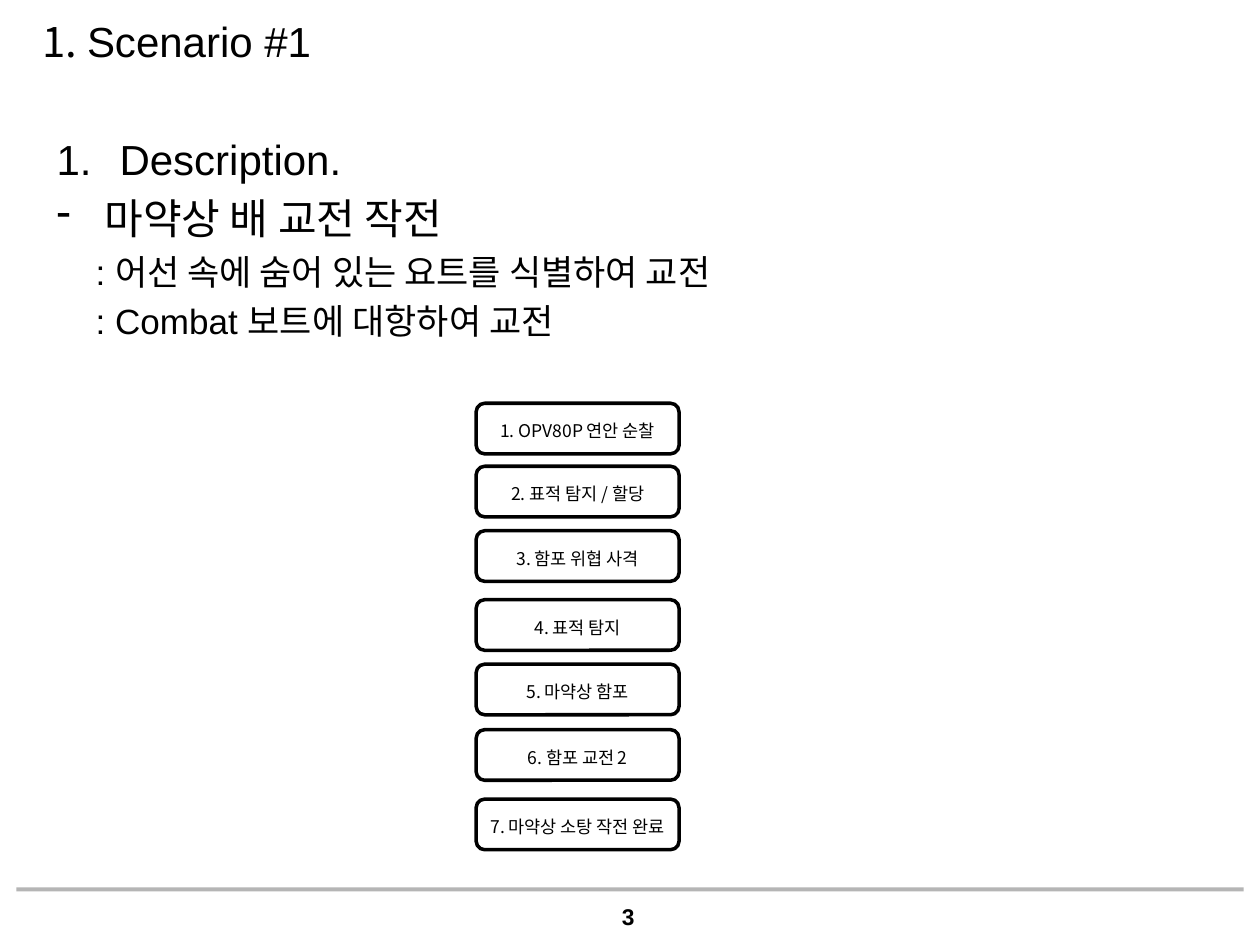
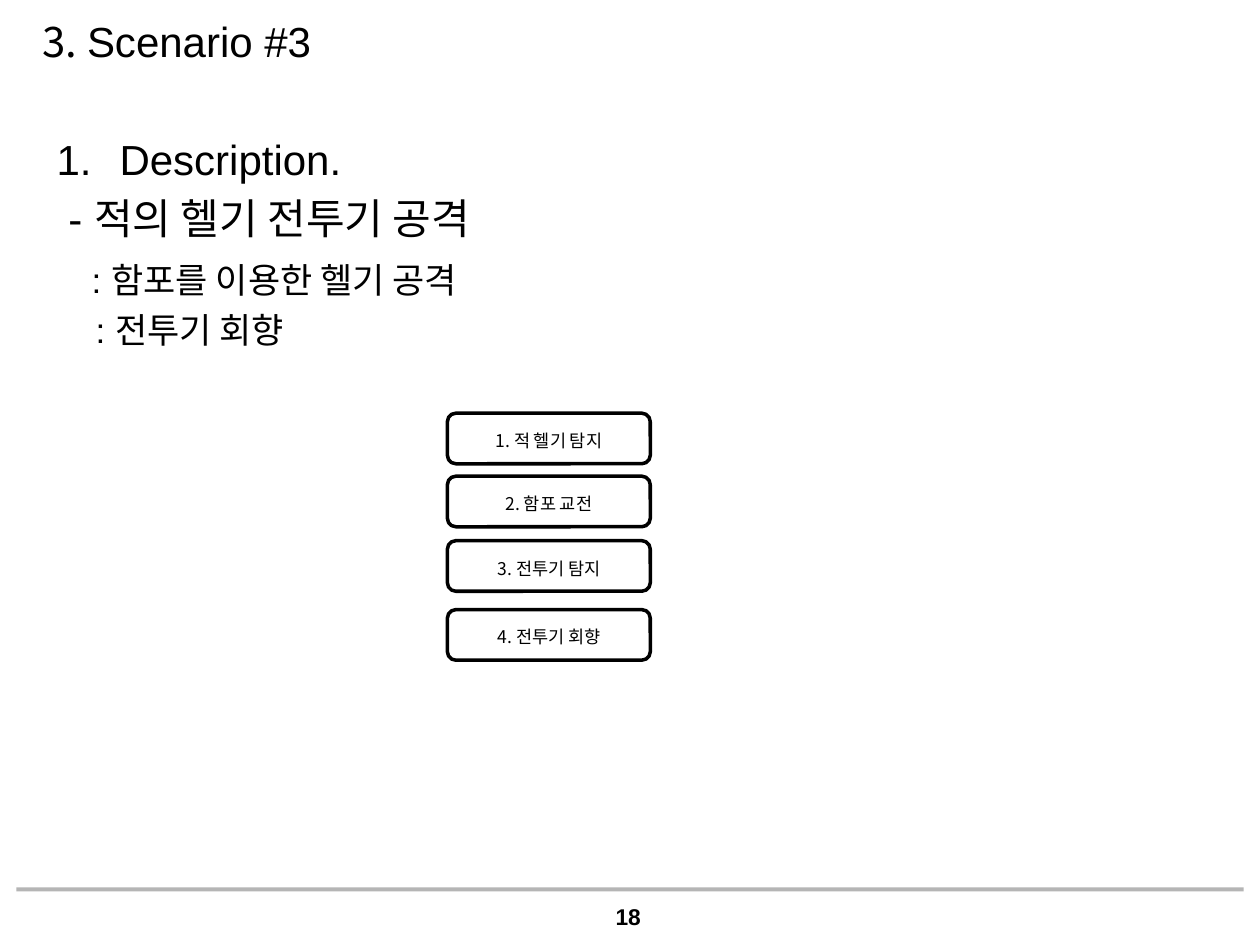
from dataclasses import dataclass

import lxml.etree
import pptx
import pptx.dml.color
import pptx.enum.shapes
import pptx.enum.text
import pptx.oxml.ns
import pptx.util

Cm = pptx.util.Cm
Pt = pptx.util.Pt
qn = pptx.oxml.ns.qn
PP_ALIGN = pptx.enum.text.PP_ALIGN
ANCHOR = pptx.enum.text.MSO_ANCHOR

COLORS = {"text": "000000", "rule": "969696", "background": "FFFFFF"}
LATIN, KOREAN = "Arial", "Noto Sans CJK KR"

# Tops of the steps below the first one, in cm
STEP_OFFSETS = (0, 1.27, 2.57, 3.96, 5.26, 6.58, 7.98)


@dataclass(frozen=True)
class Line:
    """One paragraph of the description; lengths in cm, sizes in points."""
    text: str
    size: int = 20
    left: float = 0.79
    hanging: float = 0
    bullet: str = ""
    before: float = 3


@dataclass(frozen=True)
class Scenario:
    number: int
    page: int
    description: tuple[Line, ...]
    steps_left: float
    steps_top: float
    steps: tuple[str, ...]


HEADING = Line("Description.", 24, 1.27, 1.27, "1.", 0)

SCENARIOS = (
    Scenario(
        1, 3,
        (HEADING,
         Line("마약상 배 교전 작전", 24, 0.97, 0.97, "-", 3.6),
         Line(": 어선 속에 숨어 있는 요트를 식별하여 교전"),
         Line(": Combat 보트에 대항하여 교전")),
        9.6, 8.13,
        ("OPV80P 연안 순찰", "표적 탐지 / 할당", "함포 위협 사격", "표적 탐지",
         "마약상 함포", "함포 교전 2", "마약상 소탕 작전 완료"),
    ),
    Scenario(
        3, 18,
        (HEADING,
         Line("- 적의 헬기 전투기 공격", 24, 0.24, before=3.6),
         Line(": 함포를 이용한 헬기 공격", left=0.71, before=8),
         Line(": 전투기 회향")),
        9.02, 8.33,
        ("적 헬기 탐지", "함포 교전", "전투기 탐지", "전투기 회향"),
    ),
)


def rgb(name: str) -> pptx.dml.color.RGBColor:
    return pptx.dml.color.RGBColor.from_string(COLORS[name])


def style_font(font, size: float, name: str = LATIN, bold: bool = False) -> None:
    font.size, font.name, font.bold = Pt(size), name, bold
    font.color.rgb = rgb("text")
    latin = font._element.find(qn("a:latin"))
    east_asian = lxml.etree.Element(qn("a:ea"), typeface=KOREAN)
    latin.addnext(east_asian)


def add_text_frame(slide, left: float, top: float, width: float, height: float,
                   anchor=ANCHOR.TOP):
    frame = slide.shapes.add_textbox(Cm(left), Cm(top), Cm(width), Cm(height)).text_frame
    frame.word_wrap = True
    frame.vertical_anchor = anchor
    return frame


def add_footer(slide, page: int) -> None:
    rule = slide.shapes.add_connector(
        pptx.enum.shapes.MSO_CONNECTOR.STRAIGHT, Cm(0.33), Cm(17.93), Cm(25.07), Cm(17.93))
    rule.line.width = Pt(2.25)
    rule.line.color.rgb = rgb("rule")
    shape_props = rule._element.spPr
    shade = next(shape_props.iter(qn("a:srgbClr")))
    lxml.etree.SubElement(shade, qn("a:alpha"), val="70000")
    lxml.etree.SubElement(shape_props, qn("a:effectLst"))

    page_number = add_text_frame(slide, 11.56, 18.08, 2.21, 0.81).paragraphs[0]
    page_number.text = str(page)
    page_number.alignment = PP_ALIGN.CENTER
    style_font(page_number.font, 13, bold=True)


def add_title(slide, number: int) -> None:
    title = add_text_frame(slide, 0.61, 0.41, 23.9, 0.84, ANCHOR.MIDDLE).paragraphs[0]
    for text, font_name in ((f"{number}. ", KOREAN), (f"Scenario #{number}", LATIN)):
        run = title.add_run()
        run.text = text
        style_font(run.font, 24, font_name)


def add_description(slide, lines: tuple[Line, ...]) -> None:
    frame = add_text_frame(slide, 0.89, 2.51, 23.8, 3.2)
    for index, line in enumerate(lines):
        paragraph = frame.add_paragraph() if index else frame.paragraphs[0]
        paragraph.text = line.text
        paragraph.line_spacing = 1.05
        paragraph.space_before = Pt(line.before)
        props = paragraph._p.get_or_add_pPr()
        props.set("marL", str(Cm(line.left)))
        props.set("indent", str(-Cm(line.hanging)))
        if line.bullet == "1.":
            lxml.etree.SubElement(props, qn("a:buAutoNum"), type="arabicPeriod")
        elif line.bullet:
            lxml.etree.SubElement(props, qn("a:buChar"), char=line.bullet)
        style_font(paragraph.font, line.size)


def add_step(slide, left: float, top: float, text: str) -> None:
    step = slide.shapes.add_shape(
        pptx.enum.shapes.MSO_SHAPE.ROUNDED_RECTANGLE, Cm(left), Cm(top), Cm(4.09), Cm(1.02))
    step.shadow.inherit = False
    step.fill.background()
    step.line.color.rgb = rgb("text")
    step.line.width = Pt(2)
    frame = step.text_frame
    frame.word_wrap = True
    frame.margin_left = frame.margin_right = 0
    frame.vertical_anchor = ANCHOR.MIDDLE
    label = frame.paragraphs[0]
    label.text = text
    label.alignment = PP_ALIGN.CENTER
    label.line_spacing = 1.2
    style_font(label.font, 10, KOREAN)


def add_scenario(deck, scenario: Scenario) -> None:
    slide = deck.slides.add_slide(deck.slide_layouts[6])
    slide.background.fill.solid()
    slide.background.fill.fore_color.rgb = rgb("background")
    add_footer(slide, scenario.page)
    add_title(slide, scenario.number)
    add_description(slide, scenario.description)
    # Steps run from top to bottom
    for number, (offset, step) in enumerate(zip(STEP_OFFSETS, scenario.steps), 1):
        add_step(slide, scenario.steps_left, scenario.steps_top + offset, f"{number}. {step}")


def main() -> None:
    deck = pptx.Presentation()
    deck.slide_width, deck.slide_height = Cm(25.4), Cm(19.05)
    for scenario in SCENARIOS:
        add_scenario(deck, scenario)
    deck.save("out.pptx")


if __name__ == "__main__":
    main()
